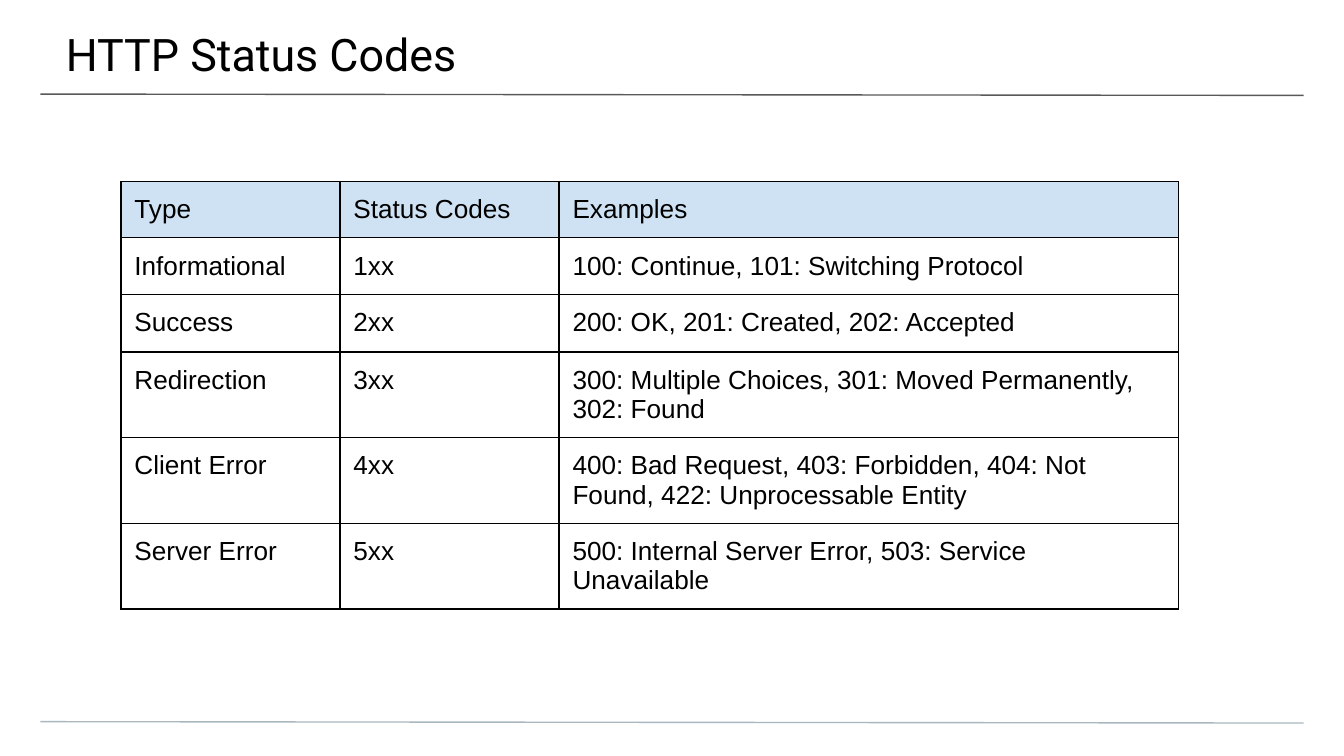
"""Build the HTTP status codes slide on a grid of tenth-inch columns and rows."""
from pptx import Presentation
from pptx.dml.color import RGBColor
from pptx.enum.shapes import MSO_CONNECTOR
from pptx.enum.text import MSO_ANCHOR, MSO_AUTO_SIZE, PP_ALIGN
from pptx.oxml.ns import qn
from pptx.util import Inches, Pt
from lxml.etree import SubElement

COLORS = {"ink": "000000", "title_rule": "595959", "footer_rule": "A9B7C0", "header": "CFE2F3"}
COLUMN_WIDTHS = [16.3, 16.3, 46.1]
ROW_HEIGHTS = [4.2] * 2 + [4.3] * 4
STATUS_ROWS = [
    ("Type", "Status Codes", "Examples"),
    ("Informational", "1xx", "100: Continue, 101: Switching Protocol"),
    ("Success", "2xx", "200: OK, 201: Created, 202: Accepted"),
    ("Redirection", "3xx", "300: Multiple Choices, 301: Moved Permanently, 302: Found"),
    ("Client Error", "4xx", "400: Bad Request, 403: Forbidden, 404: Not Found, 422: Unprocessable Entity"),
    ("Server Error", "5xx", "500: Internal Server Error, 503: Service Unavailable"),
]


def grid(*units):
    return [Inches(unit / 10) for unit in units]


def write(frame, text, font="Arial", size=14, color="ink"):
    frame.word_wrap = True
    paragraph = frame.paragraphs[0]
    paragraph.alignment = PP_ALIGN.LEFT
    run = paragraph.add_run()
    run.text = text
    run.font.name, run.font.size, run.font.bold = font, Pt(size), False
    run.font.color.rgb = RGBColor.from_string(COLORS[color])


def inset(holder, left, top, right, bottom):
    holder.margin_left, holder.margin_top, holder.margin_right, holder.margin_bottom = grid(
        left, top, right, bottom)


class StatusSlide:
    def __init__(self, deck, rule_width=0.75):
        self.slide = deck.slides.add_slide(deck.slide_layouts[5])
        self.rule_width = Pt(rule_width)

    def rule(self, row, color):
        line = self.slide.shapes.add_connector(MSO_CONNECTOR.STRAIGHT, *grid(3, row, 97, row + 0.1))
        line.line.color.rgb = RGBColor.from_string(COLORS[color])
        line.line.width = self.rule_width
        SubElement(line._element.spPr, qn("a:effectLst"))

    def title(self, text):
        heading = self.slide.shapes.title
        heading.left, heading.top, heading.width, heading.height = grid(-0.1, 0, 100.3, 5.8)
        heading.text_frame.auto_size = MSO_AUTO_SIZE.NONE
        heading.text_frame.vertical_anchor = MSO_ANCHOR.TOP
        inset(heading.text_frame, 5, 2, 3, 1)
        write(heading.text_frame, text, font="Roboto", size=24)

    def border(self, cell):
        properties = cell._tc.get_or_add_tcPr()
        for side in ("lnL", "lnR", "lnT", "lnB"):
            edge = SubElement(properties, qn(f"a:{side}"), w=str(self.rule_width))
            fill = SubElement(edge, qn("a:solidFill"))
            SubElement(fill, qn("a:srgbClr"), val=COLORS["ink"])

    def table(self, rows, left, top):
        size = grid(sum(COLUMN_WIDTHS), sum(ROW_HEIGHTS))
        table = self.slide.shapes.add_table(len(rows), len(COLUMN_WIDTHS), *grid(left, top), *size).table
        table.first_row = table.horz_banding = False
        for column, width in zip(table.columns, grid(*COLUMN_WIDTHS)):
            column.width = width
        for row, height in zip(table.rows, grid(*ROW_HEIGHTS)):
            row.height = height
        for row_number, texts in enumerate(rows):
            for column_number, text in enumerate(texts):
                cell = table.cell(row_number, column_number)
                self.border(cell)
                if row_number == 0:
                    cell.fill.solid()
                    cell.fill.fore_color.rgb = RGBColor.from_string(COLORS["header"])
                else:
                    cell.fill.background()
                inset(cell, 1, 1, 1, 1)
                write(cell.text_frame, text)


def main():
    deck = Presentation()
    deck.slide_width, deck.slide_height = grid(100, 56.25)
    page = StatusSlide(deck)
    page.rule(7, "title_rule")
    page.rule(53.7, "footer_rule")
    page.title("HTTP Status Codes")
    page.table(STATUS_ROWS, left=9, top=13.5)
    deck.save("out.pptx")


if __name__ == "__main__":
    main()
